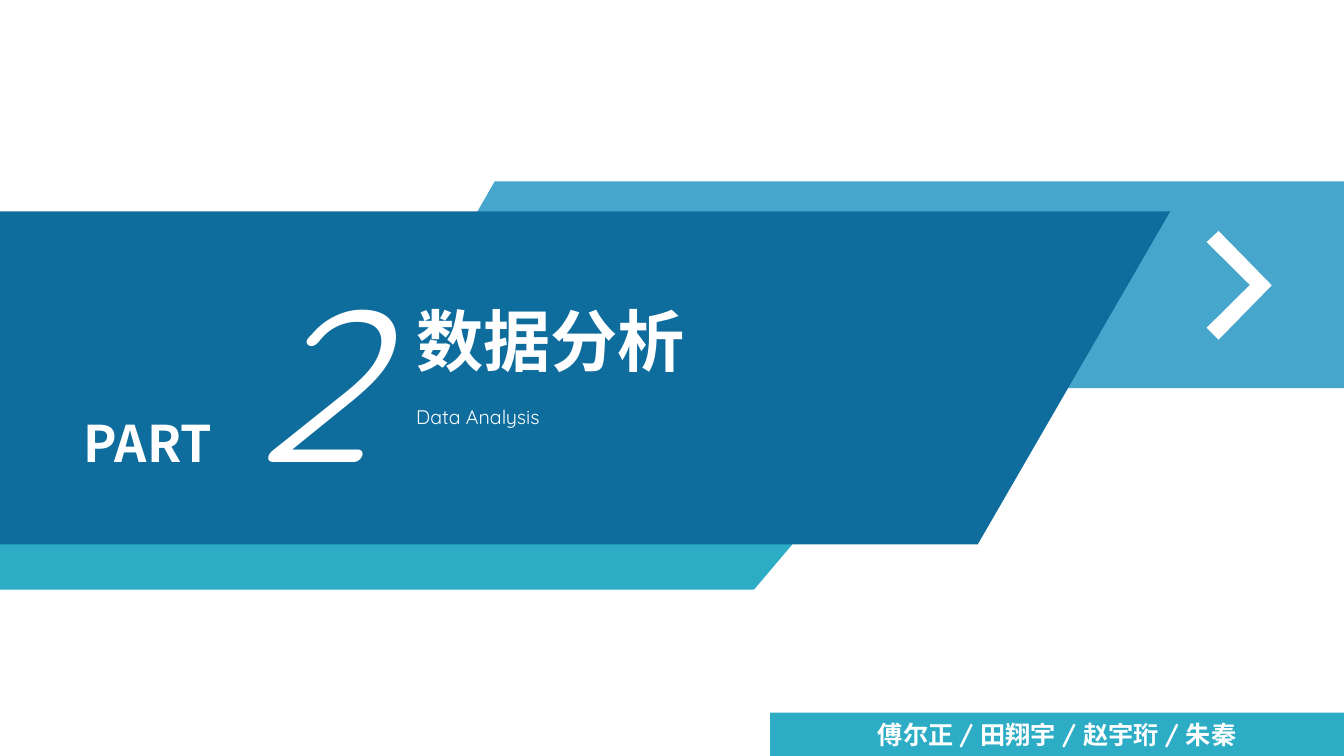
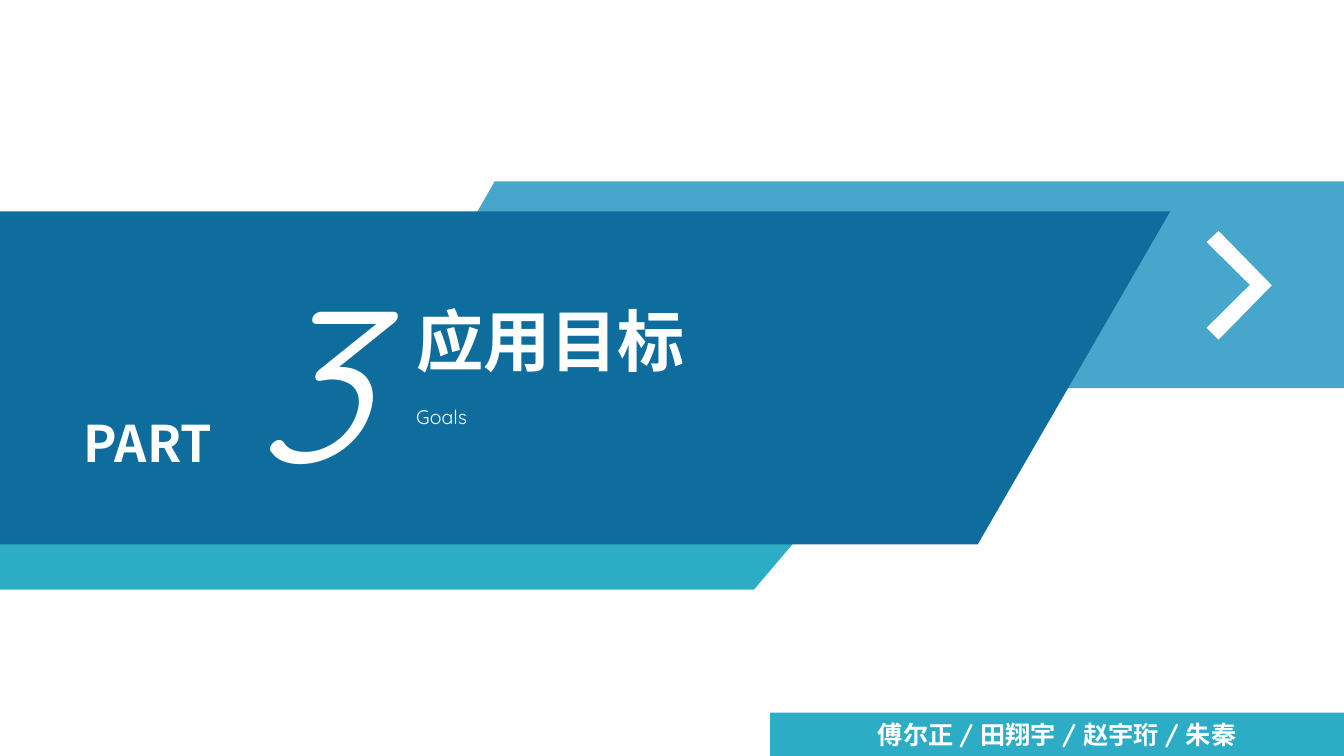
from dataclasses import dataclass

from lxml.etree import SubElement
from pptx import Presentation
from pptx.dml.color import RGBColor
from pptx.enum.shapes import MSO_SHAPE
from pptx.enum.text import MSO_ANCHOR, MSO_AUTO_SIZE, PP_ALIGN
from pptx.oxml.ns import qn
from pptx.shapes.autoshape import Shape
from pptx.slide import Slide
from pptx.util import Cm, Pt

SLIDE_WIDTH, SLIDE_HEIGHT = 33.87, 19.05
DEEP_BLUE, SKY_BLUE, TEAL, WHITE = "0F6D9E", "46A6CC", "2CACC5", "FFFFFF"
LATIN_FONT, CHINESE_FONT = "Quicksand", "Noto Sans CJK SC"
AUTHORS = ("傅尔正", "田翔宇", "赵宇珩", "朱秦")


@dataclass(frozen=True)
class Box:
    left: float
    top: float
    width: float
    height: float

    def lengths(self) -> tuple[Cm, Cm, Cm, Cm]:
        return Cm(self.left), Cm(self.top), Cm(self.width), Cm(self.height)


@dataclass(frozen=True)
class Outline:
    color: str
    points: tuple[tuple[float, float], ...]


@dataclass(frozen=True)
class Section:
    number: int
    title: str
    subtitle: str


def band(color: str, top: float, bottom: float, top_right: float, bottom_right: float) -> Outline:
    return Outline(color, ((0, top), (top_right, top), (bottom_right, bottom), (0, bottom)))


BACK_BAND = Outline(SKY_BLUE, ((12.47, 4.57), (SLIDE_WIDTH, 4.57), (SLIDE_WIDTH, 9.78), (9.47, 9.78)))
LOWER_BAND = band(TEAL, 9.65, 14.86, 23.42, 19)
MAIN_BAND = band(DEEP_BLUE, 5.33, 13.72, 29.49, 24.64)
CHEVRON = Outline(WHITE, (
    (30.71, 5.82), (32.05, 7.19), (30.71, 8.56), (30.41, 8.26), (31.5, 7.18), (30.41, 6.1),
))

PART_BOX = Box(1.8, 10.26, 3.86, 1.8)
NUMBER_BOX = Box(4.7, 6.12, 6.2, 6.81)
TITLE_BOX = Box(10.24, 7.42, 7.34, 2.31)
SUBTITLE_BOX = Box(10.24, 10.03, 14.76, 0.84)
FOOTER_BOX = Box(19.41, 17.96, 14.46, 1.09)

SECTIONS = (
    Section(2, "数据分析", "Data Analysis"),
    Section(3, "应用目标", "Goals"),
)


def rgb(color: str) -> RGBColor:
    return RGBColor.from_string(color)


def paint(shape: Shape, color: str) -> None:
    shape.shadow.inherit = False
    shape.fill.solid()
    shape.fill.fore_color.rgb = rgb(color)
    shape.line.fill.background()


def draw_outline(slide: Slide, outline: Outline) -> None:
    start, *others = [(Cm(x), Cm(y)) for x, y in outline.points]
    builder = slide.shapes.build_freeform(*start)
    builder.add_line_segments(others, close=True)
    paint(builder.convert_to_shape(), outline.color)


def write(shape: Shape, text: str, *, size: float, font: str = LATIN_FONT,
          color: str = WHITE, bold: bool = False, italic: bool = False,
          align: PP_ALIGN = PP_ALIGN.LEFT, line_spacing: float = 1.0) -> None:
    paragraph = shape.text_frame.paragraphs[0]
    paragraph.alignment = align
    paragraph.line_spacing = line_spacing
    run = paragraph.add_run()
    run.text = text
    run.font.name = font
    run.font.size = Pt(size)
    run.font.bold = bold
    run.font.italic = italic
    run.font.color.rgb = rgb(color)
    SubElement(run.font._element, qn("a:ea")).set("typeface", CHINESE_FONT)


def add_text_box(slide: Slide, box: Box, *, wrap: bool = True) -> Shape:
    text_box = slide.shapes.add_textbox(*box.lengths())
    text_box.text_frame.word_wrap = wrap
    text_box.text_frame.auto_size = MSO_AUTO_SIZE.SHAPE_TO_FIT_TEXT
    return text_box


def draw_footer(slide: Slide) -> None:
    footer = slide.shapes.add_shape(MSO_SHAPE.RECTANGLE, *FOOTER_BOX.lengths())
    paint(footer, TEAL)
    frame = footer.text_frame
    frame.margin_left = frame.margin_right = frame.margin_top = frame.margin_bottom = 0
    frame.vertical_anchor = MSO_ANCHOR.MIDDLE
    write(footer, " / ".join(AUTHORS), size=18, bold=True, align=PP_ALIGN.CENTER)


def draw_section(slide: Slide, section: Section) -> None:
    for outline in (BACK_BAND, LOWER_BAND, MAIN_BAND):
        draw_outline(slide, outline)
    write(add_text_box(slide, PART_BOX), "PART",
          size=36, font=CHINESE_FONT, bold=True, align=PP_ALIGN.CENTER)
    write(add_text_box(slide, NUMBER_BOX), str(section.number),
          size=153.3, italic=True, align=PP_ALIGN.CENTER)
    write(add_text_box(slide, TITLE_BOX, wrap=False), section.title, size=48, bold=True)
    subtitle = add_text_box(slide, SUBTITLE_BOX)
    subtitle.text_frame.margin_top = subtitle.text_frame.margin_bottom = Cm(0.1)
    write(subtitle, section.subtitle, size=14, line_spacing=1.14)
    draw_outline(slide, CHEVRON)
    draw_footer(slide)


def main() -> None:
    presentation = Presentation()
    presentation.slide_width = Cm(SLIDE_WIDTH)
    presentation.slide_height = Cm(SLIDE_HEIGHT)
    blank_layout = presentation.slide_layouts[6]
    for section in SECTIONS:
        draw_section(presentation.slides.add_slide(blank_layout), section)
    presentation.save("out.pptx")


main()
